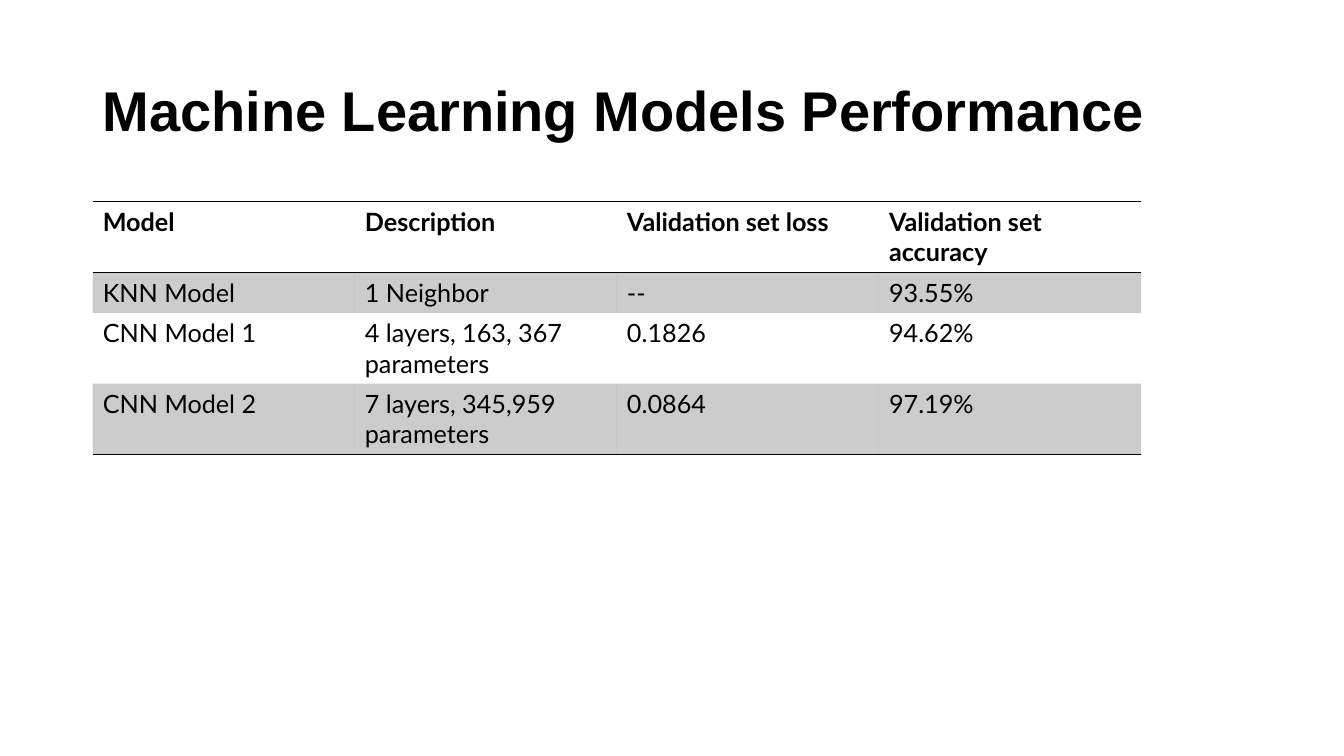
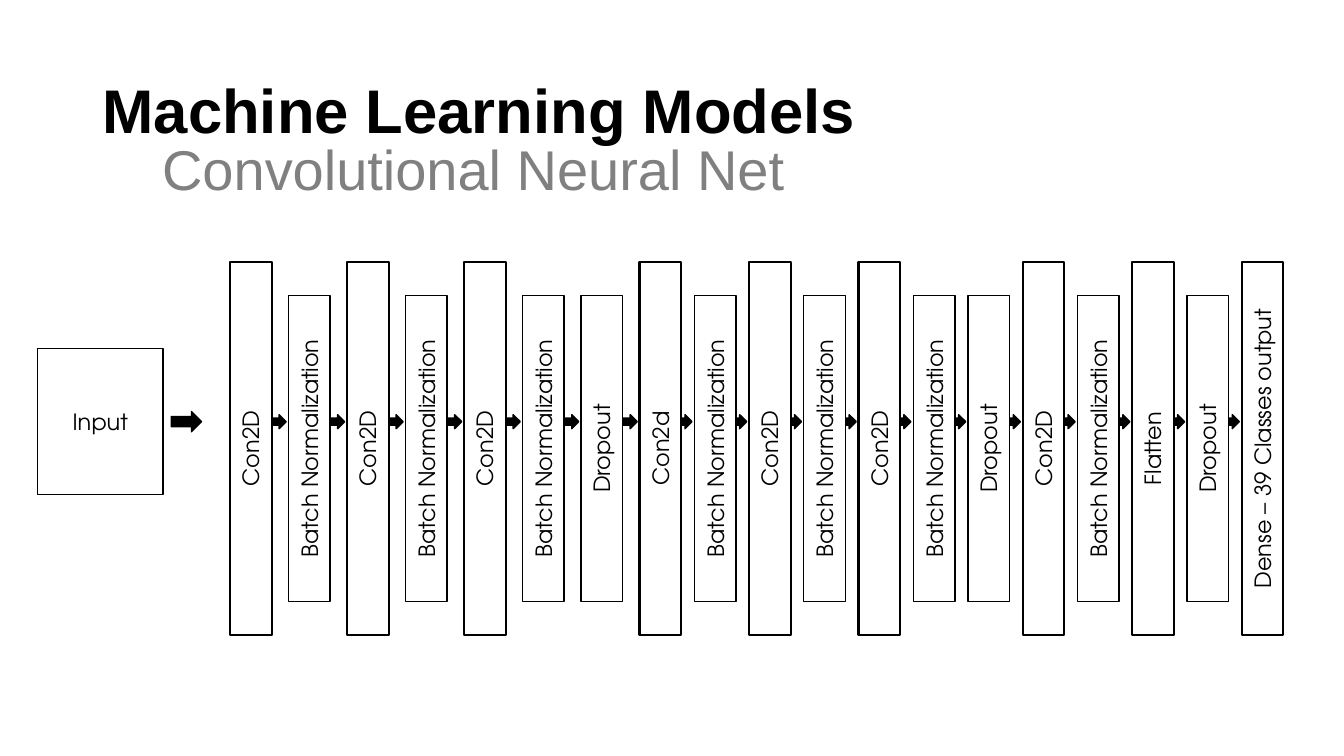
from dataclasses import dataclass

from pptx import Presentation
from pptx.dml.color import RGBColor
from pptx.enum.shapes import MSO_SHAPE
from pptx.enum.text import MSO_ANCHOR, PP_ALIGN
from pptx.oxml import parse_xml
from pptx.oxml.ns import nsdecls, qn
from pptx.util import Pt


@dataclass(frozen=True)
class Theme:
    ink: str = "000000"
    paper: str = "FFFFFF"
    muted: str = "808080"
    band_alpha: int = 20000
    title_font: str = "Arial"
    table_font: str = "Lato"
    diagram_font: str = "TeX Gyre Adventor"
    title_size: float = 44
    long_title_size: float = 40
    subtitle_size: float = 40
    table_size: float = 18
    diagram_size: float = 16
    thin: float = 1
    thick: float = 1.5
    plain_table: str = "{2D5ABB26-0587-4C30-8999-92F81FD0307C}"


class Deck:
    def __init__(self, theme):
        self.theme = theme
        self.presentation = Presentation()
        self.presentation.slide_width = Pt(960)
        self.presentation.slide_height = Pt(540)
        self.slide = None

    def new_slide(self):
        self.slide = self.presentation.slides.add_slide(self.presentation.slide_layouts[6])

    def add_words(self, paragraph, words, font, size, color, bold=False):
        run = paragraph.add_run()
        run.text = words
        run.font.name = font
        run.font.size = Pt(size)
        run.font.bold = bold
        run.font.color.rgb = RGBColor.from_string(color)

    def heading(self, words, left, top, width, height, size, color, bold=False,
                anchor=MSO_ANCHOR.TOP, spacing=1.0):
        box = self.slide.shapes.add_textbox(Pt(left), Pt(top), Pt(width), Pt(height))
        frame = box.text_frame
        frame.word_wrap = True
        frame.vertical_anchor = anchor
        paragraph = frame.paragraphs[0]
        paragraph.line_spacing = spacing
        self.add_words(paragraph, words, self.theme.title_font, size, color, bold)

    def title(self, words, size):
        self.heading(words, 66.25, 28.8, 828, 104.4, size, self.theme.ink,
                     bold=True, anchor=MSO_ANCHOR.MIDDLE, spacing=0.9)

    def subtitle(self, words):
        self.heading(words, 108.7, 92.9, 495.4, 55.4, self.theme.subtitle_size, self.theme.muted)

    def shape(self, kind, left, top, width, height, fill, weight):
        shape = self.slide.shapes.add_shape(kind, Pt(left), Pt(top), Pt(width), Pt(height))
        shape.shadow.inherit = False
        shape.fill.solid()
        shape.fill.fore_color.rgb = RGBColor.from_string(fill)
        shape.line.color.rgb = RGBColor.from_string(self.theme.ink)
        shape.line.width = Pt(weight)
        return shape

    def arrow(self, left, middle, width, height):
        self.shape(MSO_SHAPE.RIGHT_ARROW, left, middle - height / 2, width, height,
                   self.theme.ink, self.theme.thin)

    def block(self, words, left, middle, width, height, weight, upright=False):
        block = self.shape(MSO_SHAPE.RECTANGLE, left, middle - height / 2, width, height,
                           self.theme.paper, weight)
        frame = block.text_frame
        frame.word_wrap = True
        frame.vertical_anchor = MSO_ANCHOR.MIDDLE
        if upright:
            frame._txBody.bodyPr.set("vert", "vert270")
        paragraph = frame.paragraphs[0]
        paragraph.alignment = PP_ALIGN.CENTER
        self.add_words(paragraph, words, self.theme.diagram_font, self.theme.diagram_size,
                       self.theme.ink)

    def rule_cell(self, cell, sides):
        properties = cell._tc.get_or_add_tcPr()
        for position, side in enumerate(sides):
            properties.insert(position, parse_xml(
                f'<a:{side} {nsdecls("a")} w="{Pt(self.theme.thin)}"><a:solidFill>'
                f'<a:srgbClr val="{self.theme.ink}"/></a:solidFill></a:{side}>'))

    def shade_cell(self, cell):
        cell.fill.solid()
        cell.fill.fore_color.rgb = RGBColor.from_string(self.theme.ink)
        color = cell._tc.tcPr.find(qn("a:solidFill")).find(qn("a:srgbClr"))
        color.append(parse_xml(f'<a:alpha {nsdecls("a")} val="{self.theme.band_alpha}"/>'))

    def table(self, rows, left, top, column_width, row_height):
        columns = len(rows[0])
        table = self.slide.shapes.add_table(
            len(rows), columns, Pt(left), Pt(top),
            Pt(column_width * columns), Pt(row_height * len(rows))).table
        table._tbl.tblPr.find(qn("a:tableStyleId")).text = self.theme.plain_table
        table.horz_banding = False
        rules = {0: ("lnT", "lnB"), len(rows) - 1: ("lnB",)}
        for row_index, row in enumerate(rows):
            for column_index, words in enumerate(row):
                cell = table.cell(row_index, column_index)
                self.add_words(cell.text_frame.paragraphs[0], words, self.theme.table_font,
                               self.theme.table_size, self.theme.ink, bold=row_index == 0)
                if row_index % 2:
                    self.shade_cell(cell)
                else:
                    cell.fill.background()
                self.rule_cell(cell, rules.get(row_index, ()))
        for column_index in range(columns):
            self.shade_cell(table.cell(len(rows) - 1, column_index))


def performance_slide(deck):
    deck.new_slide()
    deck.title("Machine Learning Models Performance", deck.theme.long_title_size)
    deck.table([
        ("Model", "Description", "Validation set loss", "Validation set accuracy"),
        ("KNN Model", "1 Neighbor", "--", "93.55%"),
        ("CNN Model 1", "4 layers, 163, 367 parameters", "0.1826", "94.62%"),
        ("CNN Model 2", "7 layers, 345,959 parameters", "0.0864", "97.19%"),
    ], 66.25, 144, 187.2, 29.2)


def network_slide(deck):
    thin, thick = deck.theme.thin, deck.theme.thick
    tall, short = 266.4, 218.2
    convolution = ("Con2D", tall, thick)
    normalization = ("Batch Normalization", short, thin)
    dropout = ("Dropout", short, thin)
    stage = [convolution, normalization]
    layers = [
        *stage * 3, dropout,
        ("Con2d", tall, thick), normalization,
        *stage * 2, dropout,
        *stage, ("Flatten", tall, thin), dropout,
        ("Dense – 39 Classes output", tall, thick),
    ]
    layer_middle, flow_middle, layer_width = 320.4, 301.2, 29.8
    first_left, wide_pitch, wide_steps, narrow_pitch = 164.2, 41.8, 7, 39.1
    lefts = [
        first_left + wide_pitch * min(step, wide_steps) + narrow_pitch * max(step - wide_steps, 0)
        for step in range(len(layers))
    ]

    deck.new_slide()
    for left in lefts[1:]:
        deck.arrow(left - 16, flow_middle, 14.4, 10)
    deck.title("Machine Learning Models", deck.theme.title_size)
    deck.block("Input", 26.6, flow_middle, 90, 104.4, thin)
    deck.arrow(122.4, flow_middle, 21.6, 14.4)
    for left, (words, height, weight) in zip(lefts, layers):
        deck.block(words, left, layer_middle, layer_width, height, weight, upright=True)
    deck.subtitle("Convolutional Neural Net")


def main():
    deck = Deck(Theme())
    performance_slide(deck)
    network_slide(deck)
    deck.presentation.save("out.pptx")


if __name__ == "__main__":
    main()
